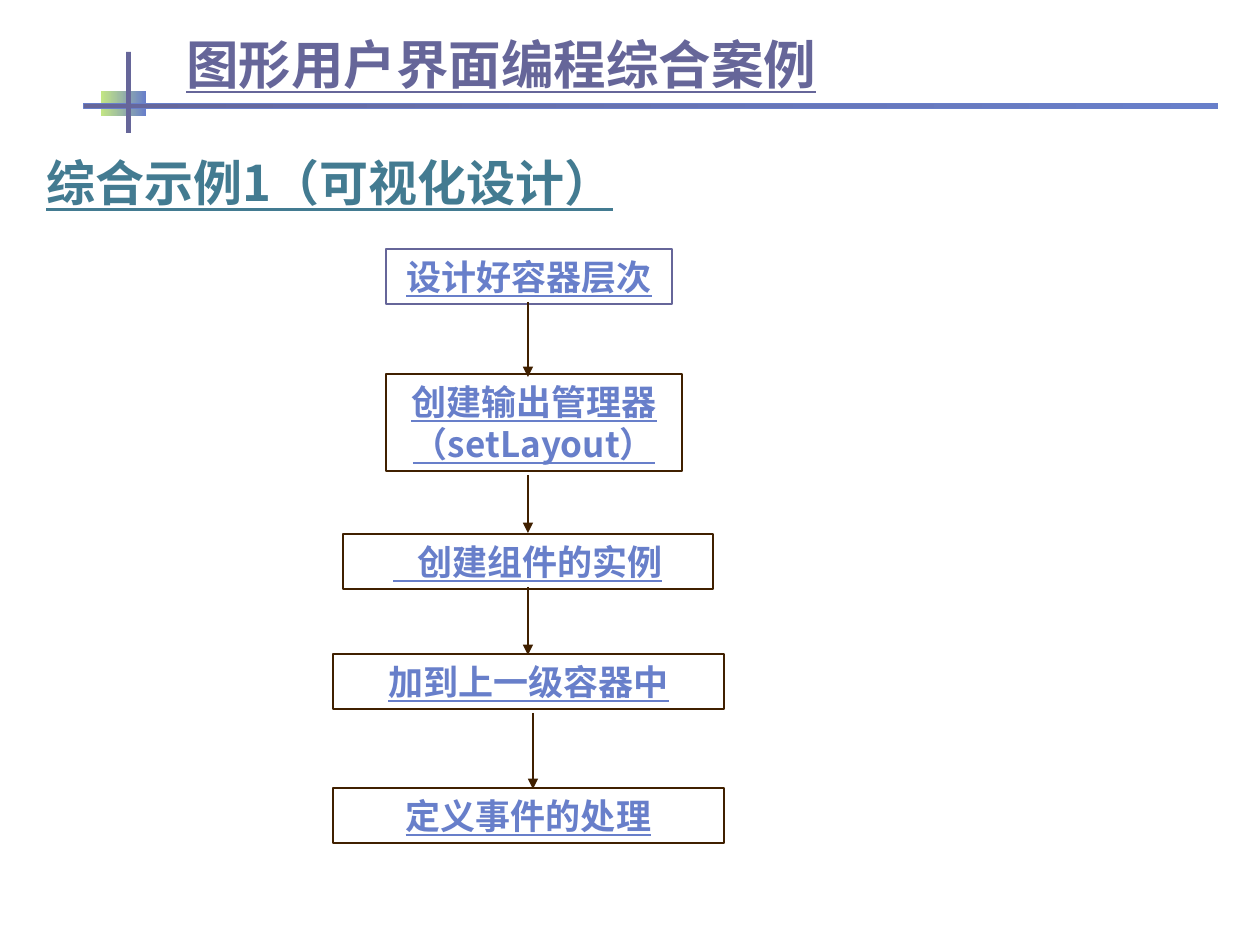
from dataclasses import dataclass

from lxml.etree import SubElement
from pptx import Presentation
from pptx.dml.color import RGBColor
from pptx.enum.shapes import MSO_CONNECTOR, MSO_SHAPE
from pptx.enum.text import MSO_ANCHOR, PP_ALIGN
from pptx.oxml.ns import qn
from pptx.util import Emu, Pt

PIXEL = 914400 / 126


@dataclass(frozen=True)
class Theme:
    purple: str = "666699"
    blue: str = "687FCA"
    teal: str = "437B91"
    brown: str = "402000"
    green: str = "C3E684"
    white: str = "FFFFFF"
    body_font: str = "Noto Sans CJK SC"
    heading_font: str = "Karla"
    heading_size: float = 30
    title_size: float = 28
    step_size: float = 20
    line_width: float = 1
    hairline: float = 0.5


def lengths(*pixels):
    return [Emu(round(pixel * PIXEL)) for pixel in pixels]


def color(code):
    return RGBColor.from_string(code)


class FlowSlide:
    """Draws the flow chart elements on one slide in one theme."""

    def __init__(self, deck, theme):
        self.theme = theme
        self.slide = deck.slides.add_slide(deck.slide_layouts[6])

    def fill_text(self, box, paragraphs, size, ink, font, anchor, align):
        frame = box.text_frame
        frame.word_wrap = True
        frame.vertical_anchor = anchor
        for index, spans in enumerate(paragraphs):
            para = frame.add_paragraph() if index else frame.paragraphs[0]
            para.alignment = align
            for text, bold in spans:
                span = para.add_run()
                span.text = text
                style = {"size": Pt(size), "name": font, "bold": bold, "underline": True}
                for name, value in style.items():
                    setattr(span.font, name, value)
                span.font.color.rgb = color(ink)
                properties = span._r.get_or_add_rPr()
                SubElement(properties, qn("a:ea"), typeface=self.theme.body_font)

    def heading(self, bounds, text, size, ink, font):
        box = self.slide.shapes.add_textbox(*lengths(*bounds))
        self.fill_text(box, [[(text, True)]], size, ink, font, MSO_ANCHOR.BOTTOM, PP_ALIGN.LEFT)

    def rectangle(self, bounds, fills, line=None, width=None):
        box = self.slide.shapes.add_shape(MSO_SHAPE.RECTANGLE, *lengths(*bounds))
        box.shadow.inherit = False
        if len(fills) == 1:
            box.fill.solid()
            box.fill.fore_color.rgb = color(fills[0])
        else:
            box.fill.gradient()
            box.fill.gradient_angle = 0
            for stop, code in zip(box.fill.gradient_stops, fills):
                stop.color.rgb = color(code)
        if line:
            box.line.color.rgb = color(line)
            box.line.width = Pt(width)
        else:
            box.line.fill.background()
        return box

    def step(self, bounds, paragraphs, line):
        theme = self.theme
        box = self.rectangle(bounds, [theme.white], line, theme.line_width)
        self.fill_text(box, paragraphs, theme.step_size, theme.blue, theme.body_font,
                       MSO_ANCHOR.MIDDLE, PP_ALIGN.CENTER)

    def arrow(self, x, top, bottom):
        arrow = self.slide.shapes.add_connector(
            MSO_CONNECTOR.STRAIGHT, *lengths(x, top, x, bottom))
        arrow.line.color.rgb = color(self.theme.brown)
        arrow.line.width = Pt(self.theme.line_width)
        SubElement(arrow.line._get_or_add_ln(), qn("a:tailEnd"), type="triangle")
        SubElement(arrow._element.spPr, qn("a:effectLst"))


def main():
    theme = Theme()
    deck = Presentation()
    deck.slide_width, deck.slide_height = lengths(1260, 945)
    page = FlowSlide(deck, theme)

    page.heading((34, 130, 1076, 88), "综合示例1（可视化设计）",
                 theme.title_size, theme.teal, theme.body_font)

    steps = [
        ((386, 249, 286, 55), [[("设计好容器层次", True)]], theme.purple),
        ((386, 374, 296, 97), [[("创建输出管理器", True)], [("（setLayout）", True)]], theme.brown),
        ((343, 534, 370, 55), [[("   ", False), ("创建组件的实例", True)]], theme.brown),
        ((333, 654, 391, 55), [[("加到上一级容器中", True)]], theme.brown),
        ((333, 788, 391, 55), [[("定义事件的处理", True)]], theme.brown),
    ]
    for bounds, paragraphs, line in steps:
        page.step(bounds, paragraphs, line)

    for x, top, bottom in [(528, 302, 377), (528, 475, 533), (528, 587, 655), (533, 713, 789)]:
        page.arrow(x, top, bottom)

    page.heading((174, 5, 1086, 96), "图形用户界面编程综合案例",
                 theme.heading_size, theme.purple, theme.heading_font)
    page.rectangle((101, 91, 45, 25), [theme.green, theme.blue])
    page.rectangle((84, 103, 1134, 6), [theme.purple, theme.blue], theme.blue, theme.hairline)
    page.rectangle((126, 52, 5, 81), [theme.purple])

    deck.save("out.pptx")


if __name__ == "__main__":
    main()
